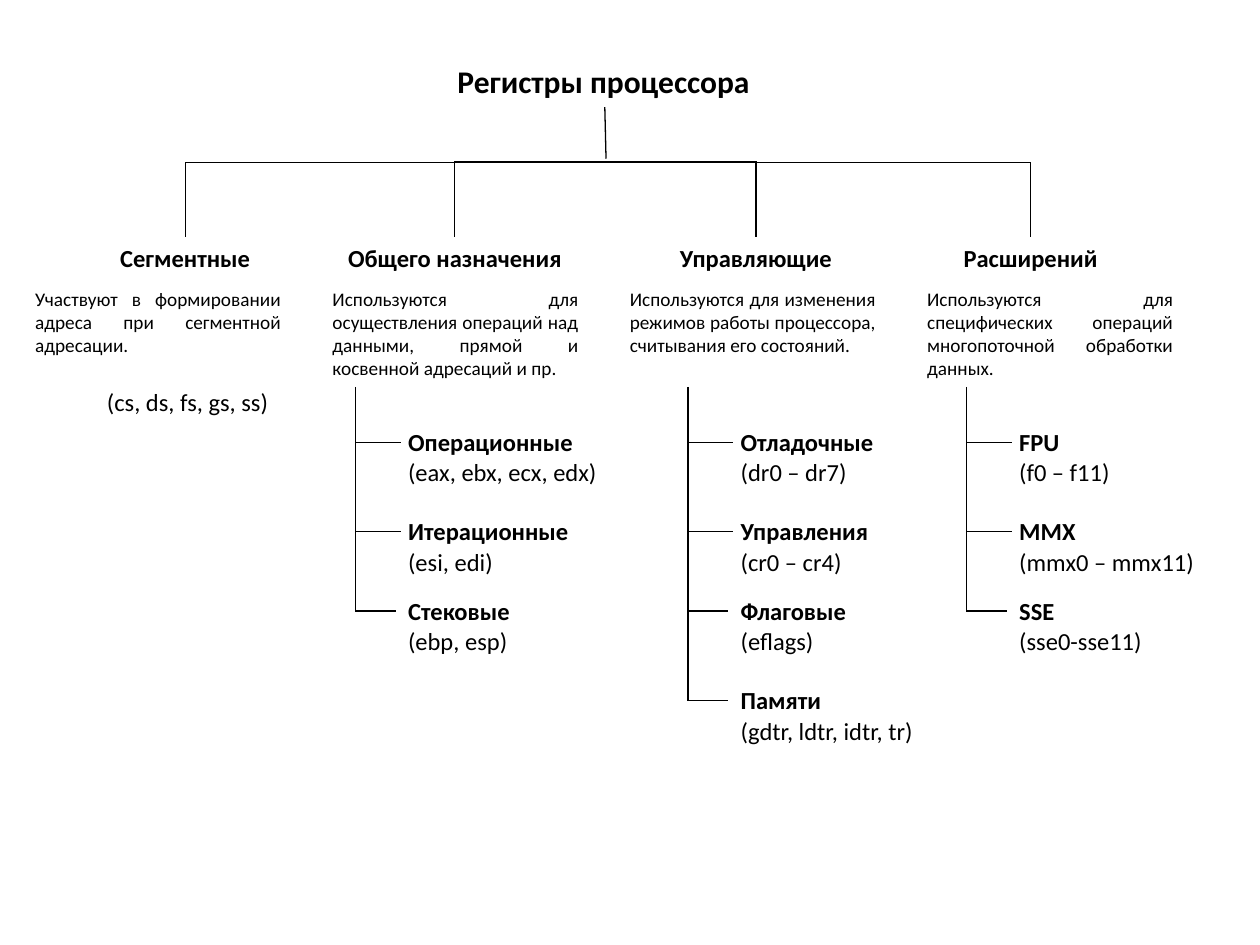
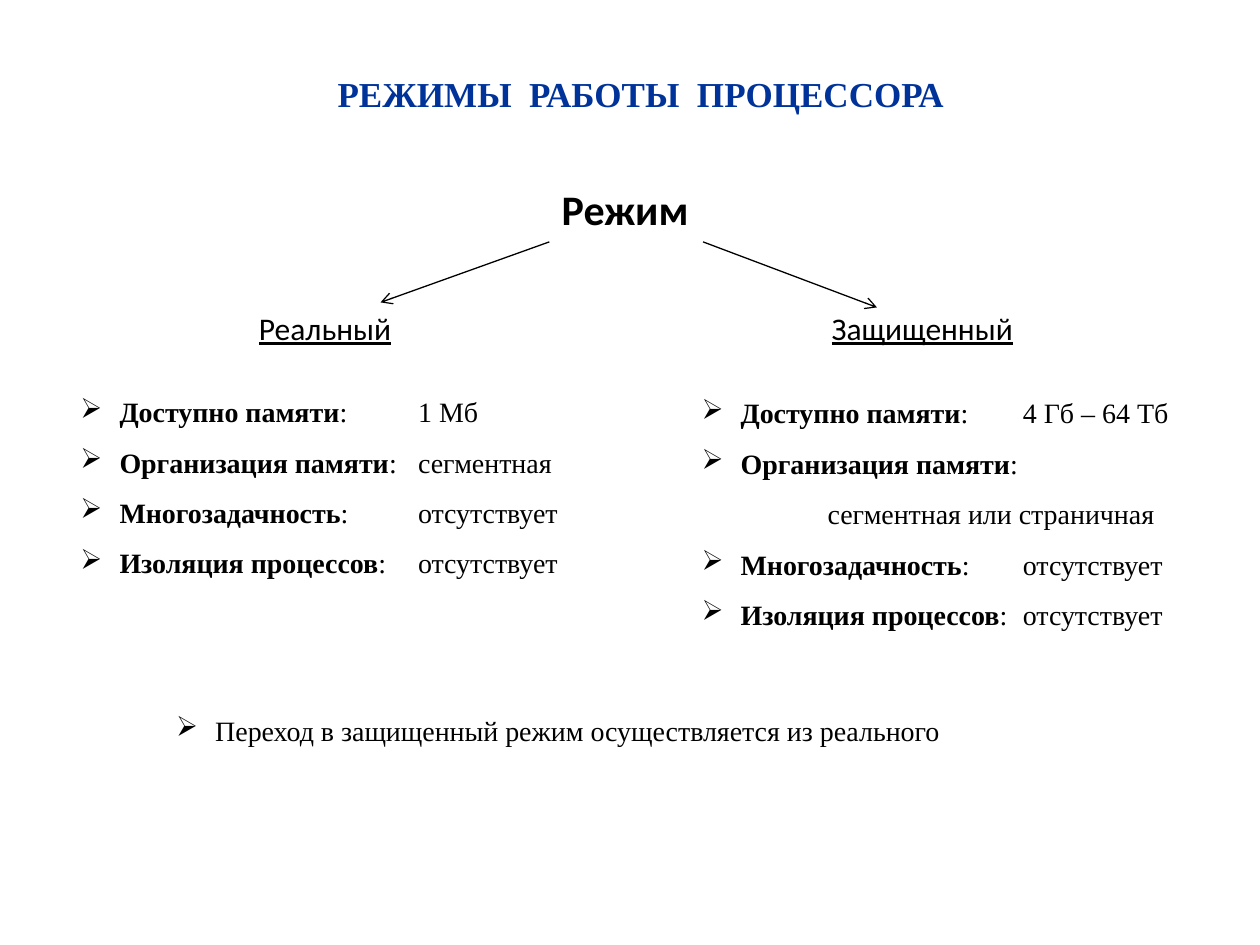
from dataclasses import dataclass

from lxml.etree import SubElement
from pptx import Presentation
from pptx.dml.color import RGBColor
from pptx.enum.shapes import MSO_CONNECTOR
from pptx.enum.text import MSO_ANCHOR, MSO_AUTO_SIZE, PP_ALIGN
from pptx.oxml.ns import qn
from pptx.util import Inches, Pt


@dataclass(frozen=True)
class Theme:
    sans: str = "Calibri"
    serif: str = "Times New Roman"
    ink: RGBColor = RGBColor(0, 0, 0)
    accent: RGBColor = RGBColor(0x00, 0x33, 0x99)
    mode_title: int = 20
    heading: int = 18
    root: int = 24
    label: int = 14
    detail: int = 11
    body: int = 16
    line: float = 0.75
    leading: float = 28.8


THEME = Theme()

# Register tree grid, in inches
ROWS = [(3.51, 0.36), (4.22, 0.36), (4.85, 0.32), (5.56, 0.32)]  # height, tick length
BRANCH_TOP = 3.07
BUS_TOP, HEADING_TOP, DETAIL_TOP = 1.29, 1.88, 2.23
DETAIL_LEFT, DETAIL_PITCH, DETAIL_WIDTH = 0.18, 2.36, 2.15
LABEL_HEIGHT, LABEL_INDENT = 0.34, 0.32

# Heading, centre, heading width, description, trunk, [(group, width, registers, width)]
FAMILIES = [
    ("Сегментные", 1.47, 1.24,
     "Участвуют в формировании адреса при сегментной адресации.", None, []),
    ("Общего назначения", 3.61, 1.91,
     "Используются для осуществления операций над данными, прямой и "
     "косвенной адресаций и пр.", 2.82,
     [("Операционные", 1.52, "(eax, ebx, ecx, edx)", 1.71),
      ("Итерационные", 1.48, "(esi, edi)", 0.88),
      ("Стековые", 1.01, "(ebp, esp)", 1)]),
    ("Управляющие", 6, 1.41,
     "Используются для изменения режимов работы процессора, "
     "считывания его состояний.", 5.46,
     [("Отладочные", 1.26, "(dr0 – dr7)", 1.05),
      ("Управления", 1.26, "(cr0 – cr4)", 1.01),
      ("Флаговые", 1.04, "(eflags)", 0.79),
      ("Памяти", 0.85, "(gdtr, ldtr, idtr, tr)", 1.58)]),
    ("Расширений", 8.18, 1.27,
     "Используются для специфических операций многопоточной обработки данных.", 7.67,
     [("FPU", 0.52, "(f0 – f11)", 0.93),
      ("MMX", 0.65, "(mmx0 – mmx11)", 1.6),
      ("SSE", 0.48, "(sse0-sse11)", 1.19)]),
]

TRAITS = ["Доступно памяти", "Организация памяти", "Многозадачность", "Изоляция процессов"]


def style(paragraph, size, font=THEME.sans, color=THEME.ink, bold=False, underline=False):
    for run in paragraph.runs:
        run.font.name, run.font.size = font, Pt(size)
        run.font.bold, run.font.underline = bold, underline
        run.font.color.rgb = color


def add_title(slide, text, left, top, width, height, **look):
    title = slide.shapes.title
    title.left, title.top = Inches(left), Inches(top)
    title.width, title.height = Inches(width), Inches(height)
    frame = title.text_frame
    frame.text = text
    frame.word_wrap = True
    frame.auto_size = MSO_AUTO_SIZE.NONE
    frame.vertical_anchor = MSO_ANCHOR.MIDDLE
    frame.paragraphs[0].alignment = PP_ALIGN.CENTER
    style(frame.paragraphs[0], **look)


def add_frame(slide, left, top, width, height, wrap=True):
    box = slide.shapes.add_textbox(Inches(left), Inches(top), Inches(width), Inches(height))
    box.text_frame.word_wrap = wrap
    return box.text_frame


def add_label(slide, text, left, top, width, height=LABEL_HEIGHT,
              align=PP_ALIGN.LEFT, wrap=False, size=THEME.label, **look):
    frame = add_frame(slide, left, top, width, height, wrap)
    frame.text = text
    frame.paragraphs[0].alignment = align
    style(frame.paragraphs[0], size, **look)


def add_line(slide, x1, y1, x2, y2, arrow=False):
    line = slide.shapes.add_connector(
        MSO_CONNECTOR.STRAIGHT, Inches(x1), Inches(y1), Inches(x2), Inches(y2))
    line.line.color.rgb = THEME.ink
    line.line.width = Pt(THEME.line)
    properties = line._element.spPr
    if arrow:
        SubElement(properties.find(qn("a:ln")), qn("a:tailEnd"), type="arrow")
    SubElement(properties, qn("a:effectLst"))


def add_bracket(slide, left, right, top, bottom):
    add_line(slide, left, top, right, top)
    for x in (left, right):
        add_line(slide, x, top, x, bottom)


def add_branch(slide, trunk, groups):
    last_row = ROWS[len(groups) - 1][0]
    add_line(slide, trunk, BRANCH_TOP, trunk, last_row)
    text_left = trunk + LABEL_INDENT
    for (y, tick), (group, group_width, registers, registers_width) in zip(ROWS, groups):
        add_line(slide, trunk, y, trunk + tick, y)
        add_label(slide, group, text_left, y - 0.17, group_width, bold=True)
        add_label(slide, registers, text_left, y + 0.07, registers_width)


def set_indent(paragraph, left, bullet=None):
    properties = paragraph._p.get_or_add_pPr()
    properties.set("marL", str(Inches(left)))
    if bullet:
        properties.set("indent", str(-Inches(left)))
        SubElement(properties, qn("a:buChar"), char=bullet)


def add_lines(slide, lines, left, top, width, height):
    """Serif lines on an even leading; returns their paragraphs."""
    frame = add_frame(slide, left, top, width, height)
    frame.text = "\n".join(lines)
    for paragraph in frame.paragraphs:
        paragraph.line_spacing = Pt(THEME.leading)
        style(paragraph, THEME.body, THEME.serif)
    return frame.paragraphs


def add_traits(slide, left, top, width, wide_value=None):
    """Bulleted trait names; wide_value goes on a line of its own."""
    lines = TRAITS[:2] + ([wide_value] if wide_value else []) + TRAITS[2:]
    height = 0.1 + 0.4 * len(lines)
    for paragraph in add_lines(slide, lines, left, top, width, height):
        if paragraph.text == wide_value:
            set_indent(paragraph, 1)
            continue
        set_indent(paragraph, 0.31, "➢")
        paragraph.add_run().text = ":"
        style(paragraph, THEME.body, THEME.serif)
        paragraph.runs[0].font.bold = True


def build_registers(slide):
    add_title(slide, "Регистры процессора", 3.52, 0.44, 2.54, 0.4,
              size=THEME.heading, bold=True)

    # Root and the brackets down to the families
    centres = [family[1] for family in FAMILIES]
    add_line(slide, 4.8, 0.85, 4.81, 1.26)
    add_bracket(slide, centres[0], centres[3], BUS_TOP, HEADING_TOP)
    add_bracket(slide, centres[1], centres[2], BUS_TOP - 0.01, HEADING_TOP)

    # Families with their groups
    for column, (heading, centre, width, detail, trunk, groups) in enumerate(FAMILIES):
        add_label(slide, heading, centre - width / 2, HEADING_TOP, width,
                  align=PP_ALIGN.CENTER, bold=True)
        add_label(slide, detail, DETAIL_LEFT + column * DETAIL_PITCH, DETAIL_TOP,
                  DETAIL_WIDTH, 0.84, PP_ALIGN.JUSTIFY, wrap=True, size=THEME.detail)
        if groups:
            add_branch(slide, trunk, groups)
    add_label(slide, "(cs, ds, fs, gs, ss)", 0.75, 3.02, 1.49)


def build_modes(slide):
    add_title(slide, "РЕЖИМЫ  РАБОТЫ  ПРОЦЕССОРА", 1.06, 0.52, 8.05, 0.44,
              size=THEME.mode_title, font=THEME.serif, color=THEME.accent, bold=True)

    # Split into two modes
    add_label(slide, "Режим", 4.36, 1.41, 1.22, 0.5, size=THEME.root, bold=True)
    add_line(slide, 4.36, 1.92, 3.02, 2.4, arrow=True)
    add_line(slide, 5.58, 1.92, 6.96, 2.44, arrow=True)
    for mode, left, width in (("Реальный", 1.95, 1.26), ("Защищенный", 6.49, 1.66)):
        add_label(slide, mode, left, 2.4, width, 0.4, PP_ALIGN.CENTER,
                  size=THEME.heading, underline=True)

    # Real mode
    add_traits(slide, 0.54, 2.95, 2.75)
    add_lines(slide, ["1 Мб", "сегментная", "отсутствует", "отсутствует"],
              3.22, 2.95, 1.39, 1.7)

    # Protected mode: its values skip the two rows of memory organisation
    add_traits(slide, 5.47, 2.96, 4.17, "сегментная или страничная")
    values = add_lines(slide, ["4 Гб – 64 Тб", "отсутствует", "отсутствует"],
                       8.02, 2.96, 1.62, 2.1)
    values[1].space_before = Pt(2 * THEME.leading)

    # Closing note
    note = add_lines(slide, ["Переход в защищенный режим осуществляется из реального"],
                     1.3, 5.48, 7.02, 0.5)
    set_indent(note[0], 0.31, "➢")


def main():
    deck = Presentation()
    deck.slide_width, deck.slide_height = Inches(10), Inches(7.5)
    title_only = deck.slide_layouts[5]
    for build in (build_registers, build_modes):
        build(deck.slides.add_slide(title_only))
    deck.save("out.pptx")


if __name__ == "__main__":
    main()
